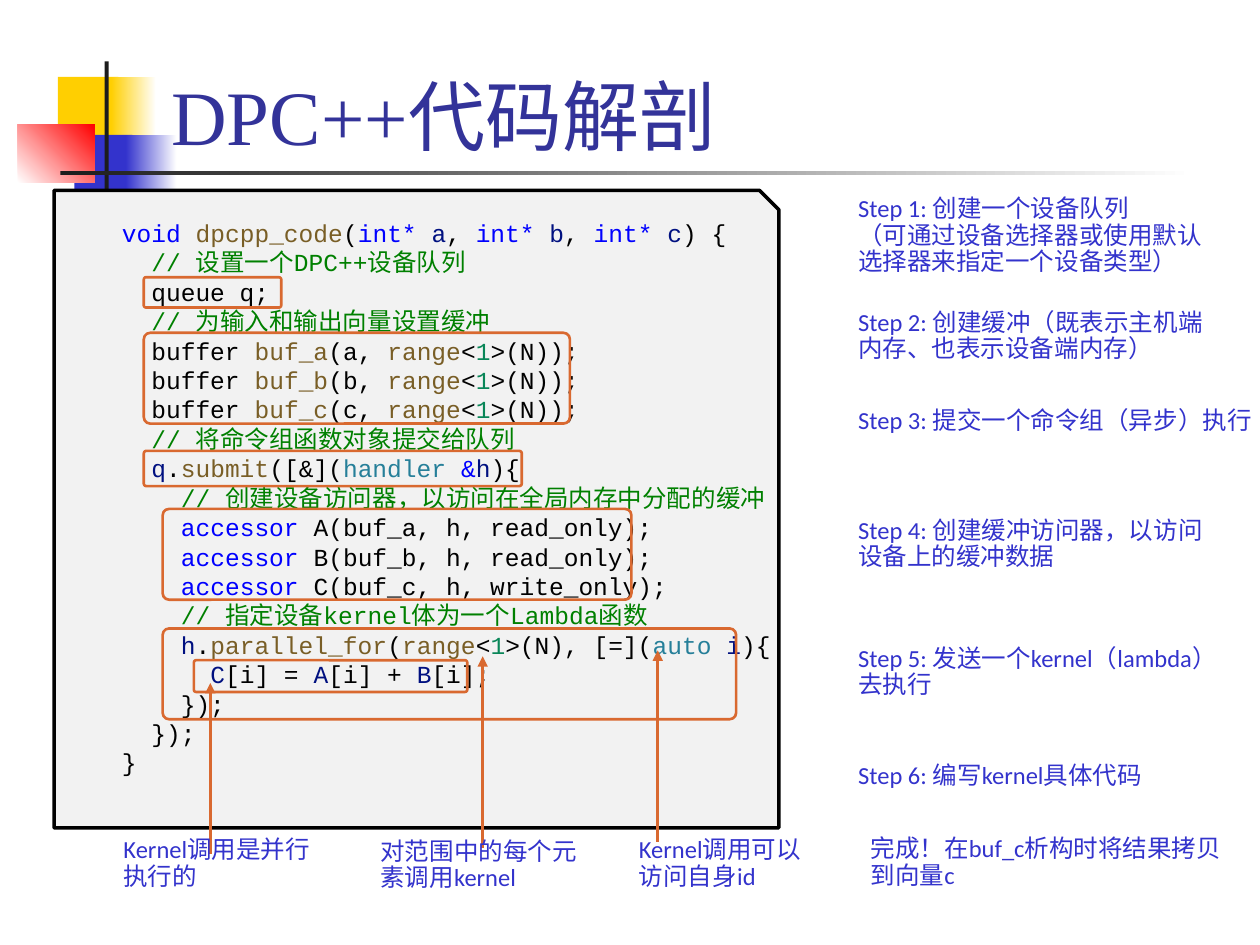
"""Build a slide that explains a DPC++ program step by step."""
from lxml import etree
from pptx import Presentation
from pptx import util as u
from pptx.dml.color import RGBColor
from pptx.enum import shapes, text
from pptx.oxml import ns

YELLOW = RGBColor(0xFF, 0xCF, 0x01)
BLUE = RGBColor(0x33, 0x33, 0xCC)
RED = RGBColor(0xFF, 0x00, 0x00)
WHITE = RGBColor(0xFF, 0xFF, 0xFF)
DARK = RGBColor(0x1C, 0x1C, 0x1C)
NAVY = RGBColor(0x33, 0x33, 0x99)
GREY = RGBColor(0xF2, 0xF2, 0xF2)
BLACK = RGBColor(0x00, 0x00, 0x00)
ORANGE = RGBColor(0xD9, 0x69, 0x30)
CODE_COLOURS = {
    "K": BLACK,
    "B": RGBColor(0x00, 0x00, 0xFF),
    "F": RGBColor(0x79, 0x5E, 0x26),
    "V": RGBColor(0x00, 0x10, 0x80),
    "G": RGBColor(0x00, 0x80, 0x00),
    "N": RGBColor(0x09, 0x86, 0x58),
    "T": RGBColor(0x26, 0x7F, 0x99),
}


def add_shape(page, kind, left, top, width, height):
    shape = page.shapes.add_shape(kind, u.Cm(left), u.Cm(top), u.Cm(width), u.Cm(height))
    shape.shadow.inherit = False
    return shape


def add_text(page, left, top, width, height):
    box = page.shapes.add_textbox(u.Cm(left), u.Cm(top), u.Cm(width), u.Cm(height))
    box.text_frame.word_wrap = True
    box.text_frame.auto_size = text.MSO_AUTO_SIZE.SHAPE_TO_FIT_TEXT
    return box.text_frame


deck = Presentation()
deck.slide_width, deck.slide_height = u.Cm(25.4), u.Cm(19.05)
page = deck.slides.add_slide(deck.slide_layouts[5])

decorations = [
    (1.17, 1.55, 1.22, 1.32, YELLOW, YELLOW, 0),
    (2.24, 1.55, 0.91, 1.32, YELLOW, WHITE, 0),
    (1.5, 2.72, 1.17, 1.32, BLUE, BLUE, 0),
    (2.54, 2.72, 1.02, 1.32, BLUE, WHITE, 0),
    (0.36, 2.51, 1.55, 1.17, WHITE, RED, 45),
    (2.11, 1.24, 0.08, 2.92, DARK, DARK, 0),
    (1.22, 3.45, 22.86, 0.08, DARK, WHITE, 0),
]
for left, top, width, height, start, end, angle in decorations:
    block = add_shape(page, shapes.MSO_SHAPE.RECTANGLE, left, top, width, height)
    block.line.fill.background()
    if start == end:
        block.fill.solid()
        block.fill.fore_color.rgb = start
    else:
        block.fill.gradient()
        block.fill.gradient_angle = angle
        for stop, colour in zip(block.fill.gradient_stops, (start, end)):
            stop.color.rgb = colour

title = page.shapes.title
page.shapes._spTree.append(title._element)
title.left, title.top, title.width, title.height = u.Cm(3.2), u.Cm(0.2), u.Cm(21.64), u.Cm(3.18)
title.text_frame.text = "DPC++代码解剖"
title.text_frame.vertical_anchor = text.MSO_ANCHOR.BOTTOM
para = title.text_frame.paragraphs[0]
para.alignment = text.PP_ALIGN.LEFT
font = para.runs[0].font
font.name, font.size, font.color.rgb = "Times New Roman", u.Pt(44), NAVY

panel = add_shape(page, shapes.MSO_SHAPE.SNIP_1_RECTANGLE, 1.09, 3.84, 14.61, 12.85)
panel.adjustments[0] = 0.03
panel.fill.solid()
panel.fill.fore_color.rgb = GREY
panel.line.color.rgb = BLACK
panel.line.width = u.Pt(2)

buffers = [f"K  buffer |Fbuf_{name}|K({name}, |Frange|K<|N1|K>(N));" for name in "abc"]
accessors = [
    f"K    |Baccessor |K{name.upper()}(buf_{name}, h, {mode}_only);"
    for name, mode in (("a", "read"), ("b", "read"), ("c", "write"))
]
code_lines = [
    "Bvoid |Fdpcpp_code|K(|Bint* |Va|K, |Bint* |Vb|K, |Bint* |Vc|K) {",
    "G  // 设置一个DPC++设备队列",
    "K  queue q;",
    "G  // 为输入和输出向量设置缓冲",
    *buffers,
    "G  // 将命令组函数对象提交给队列",
    "K  |Vq|K.|Fsubmit|K([&](|Thandler |B&|Vh|K){",
    "G    // 创建设备访问器，以访问在全局内存中分配的缓冲",
    *accessors,
    "G    // 指定设备kernel体为一个Lambda函数",
    "K    |Vh|K.|Fparallel_for|K(|Frange|K<|N1|K>(N), [=](|Tauto |Vi|K){",
    "K      |VC|K[i] = |VA|K[i] + |VB|K[i];",
    "K    });",
    "K  });",
    "K}",
]
frame = add_text(page, 2.21, 4.27, 19.94, 12.22)
for index, line in enumerate(code_lines):
    para = frame.add_paragraph() if index else frame.paragraphs[0]
    for piece in line.split("|"):
        span = para.add_run()
        span.text = piece[1:]
        span.font.name, span.font.size = "Courier New", u.Pt(14)
        span.font.color.rgb = CODE_COLOURS[piece[0]]

highlights = [
    (2.9, 5.59, 2.77, 0.61),
    (2.9, 6.71, 8.59, 1.83),
    (2.9, 9.09, 7.62, 0.71),
    (3.28, 10.26, 9.45, 1.83),
    (3.28, 12.67, 11.56, 1.83),
    (3.91, 13.31, 5.51, 0.64),
]
for place in highlights:
    outline = add_shape(page, shapes.MSO_SHAPE.ROUNDED_RECTANGLE, *place)
    outline.adjustments[0] = 0.07
    outline.fill.background()
    outline.line.color.rgb = ORANGE
    outline.line.width = u.Pt(1.5)

for x, bottom, top in ((4.24, 17.22, 13.77), (9.73, 17.09, 13.23), (13.26, 16.97, 13.11)):
    arrow = page.shapes.add_connector(
        shapes.MSO_CONNECTOR.STRAIGHT, u.Cm(x), u.Cm(bottom), u.Cm(x), u.Cm(top))
    arrow.line.color.rgb = ORANGE
    arrow.line.width = u.Pt(1.5)
    etree.SubElement(arrow.line._get_or_add_ln(), ns.qn("a:tailEnd"), type="triangle")
    etree.SubElement(arrow._element.spPr, ns.qn("a:effectLst"))

notes = [
    (17.3, 3.96, 7.01, 1.63, "Step 1: 创建一个设备队列\n（可通过设备选择器或使用默认选择器来指定一个设备类型）"),
    (17.3, 6.25, 7.34, 1.07, "Step 2: 创建缓冲（既表示主机端内存、也表示设备端内存）"),
    (17.3, 8.23, 8, 0.53, "Step 3: 提交一个命令组（异步）执行"),
    (17.3, 10.44, 7.34, 1.07, "Step 4: 创建缓冲访问器，以访问设备上的缓冲数据"),
    (17.3, 13.03, 7.34, 1.07, "Step 5: 发送一个kernel（lambda）去执行"),
    (17.3, 15.39, 6.81, 0.53, "Step 6: 编写kernel具体代码"),
    (2.49, 16.89, 4.24, 1.07, "Kernel调用是并行执行的"),
    (7.67, 16.92, 4.39, 1.07, "对范围中的每个元素调用kernel"),
    (12.88, 16.89, 3.61, 1.07, "Kernel调用可以访问自身id"),
    (17.55, 16.87, 7.32, 1.07, "完成！在buf_c析构时将结果拷贝到向量c"),
]
for left, top, width, height, words in notes:
    frame = add_text(page, left, top, width, height)
    frame.margin_left = frame.margin_top = frame.margin_right = frame.margin_bottom = 0
    frame.text = words
    for para in frame.paragraphs:
        para.line_spacing = 0.9
        font = para.runs[0].font
        font.name, font.size, font.color.rgb = "Calibri", u.Pt(14), BLUE

deck.save("out.pptx")
